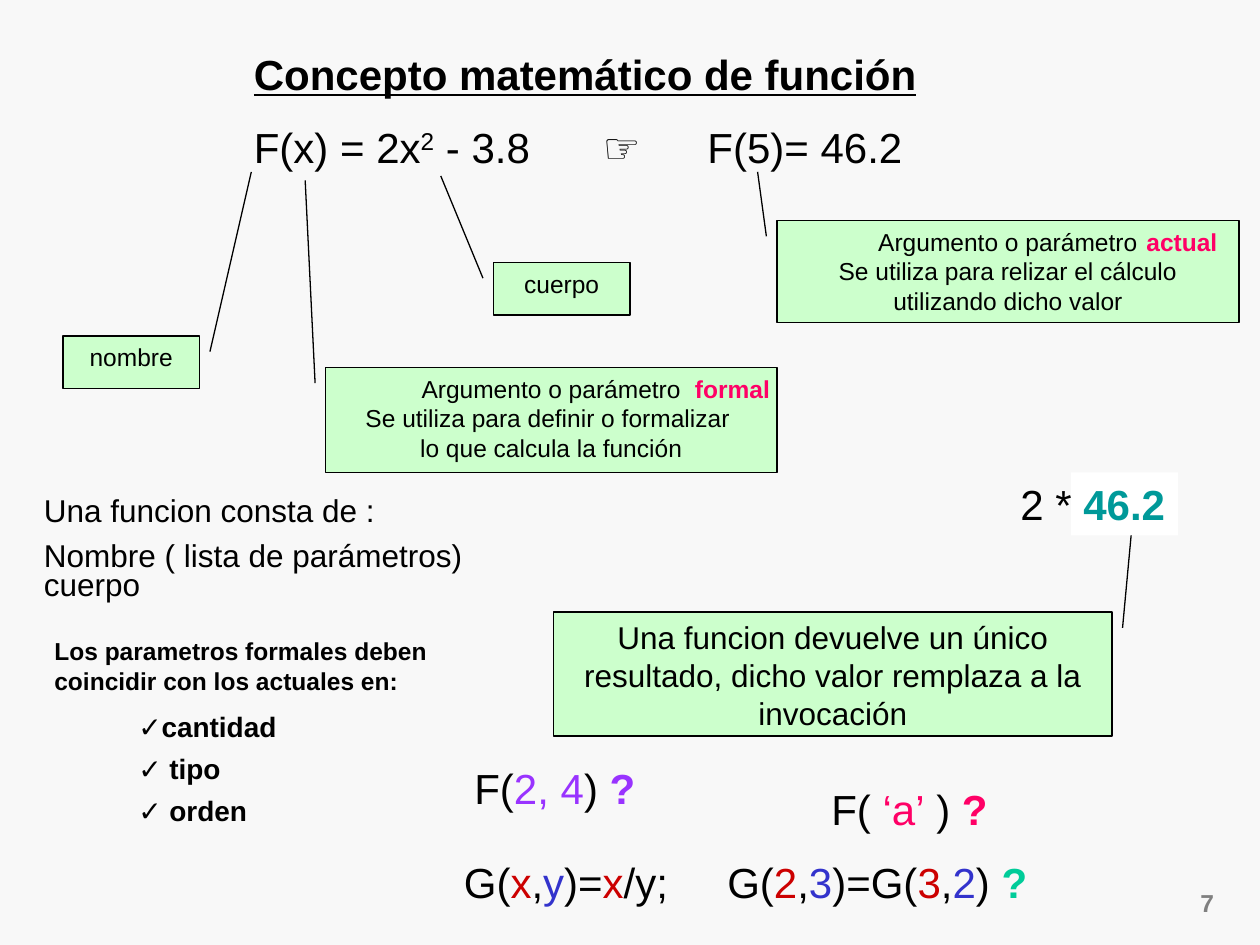
"""Build the slide that explains the mathematical concept of a function."""
from lxml.etree import SubElement
from pptx import Presentation
from pptx.dml.color import RGBColor
from pptx.enum.shapes import MSO_SHAPE as Shape
from pptx.enum.text import MSO_ANCHOR as Anchor, PP_ALIGN as Align
from pptx.oxml.ns import qn
from pptx.util import Inches, Pt

BLACK = RGBColor(0x00, 0x00, 0x00)
WHITE = RGBColor(0xFF, 0xFF, 0xFF)
GRAY = RGBColor(0x80, 0x80, 0x80)
PAPER = RGBColor(0xF8, 0xF8, 0xF8)
MINT = RGBColor(0xCC, 0xFF, 0xCC)
PINK = RGBColor(0xFF, 0x00, 0x66)
PURPLE = RGBColor(0x99, 0x33, 0xFF)
RED = RGBColor(0xCC, 0x00, 0x00)
BLUE = RGBColor(0x33, 0x33, 0xCC)
GREEN = RGBColor(0x00, 0xCC, 0x99)
TEAL = RGBColor(0x00, 0x99, 0x99)

presentation = Presentation()
presentation.slide_width = Inches(10)
presentation.slide_height = Inches(7.5)
slide = presentation.slides.add_slide(presentation.slide_layouts[6])
slide.background.fill.solid()
slide.background.fill.fore_color.rgb = PAPER
UNIT = presentation.slide_width / 120


def grid(*cells):
    return [round(cell * UNIT) for cell in cells]


def write(shape, paragraphs, size=24, align=Align.LEFT, bold=False, spaced=True,
          line_spacing=None, tabs=(), wrap=True):
    frame = shape.text_frame
    frame.word_wrap = wrap
    frame.vertical_anchor = Anchor.TOP
    for index, runs in enumerate(paragraphs):
        paragraph = frame.add_paragraph() if index else frame.paragraphs[0]
        paragraph.alignment = align
        if spaced:
            paragraph.space_before = Pt(size * 0.54)
        if line_spacing:
            paragraph.line_spacing = line_spacing
        if tabs:
            stops = SubElement(paragraph._p.get_or_add_pPr(), qn("a:tabLst"))
            for stop in tabs:
                SubElement(stops, qn("a:tab"), pos=str(Inches(stop)), algn="l")
        for text, color, *marks in runs:
            run = paragraph.add_run()
            run.text = text
            run.font.name = "Arial"
            run.font.size = Pt(size)
            run.font.color.rgb = color
            run.font.bold = bold or "bold" in marks
            run.font.underline = "underline" in marks
            if "superscript" in marks:
                run.font._element.set("baseline", "30000")


text_boxes = [
    ((109, 84, 7.8, 4), [[("7", GRAY)]], dict(size=14, bold=True, align=Align.RIGHT)),
    ((23, 4, 78, 13.2),
     [[("Concepto matemático de función", BLACK, "bold", "underline")],
      [("F(x) = 2x", BLACK), ("2", BLACK, "superscript"), (" - 3.8\t", BLACK),
       ("☞", BLACK, "bold"), ("\tF(5)= 46.2", BLACK)]],
     dict(tabs=(2.77, 3.6))),
    ((78, 74, 19, 6),
     [[("F( ", BLACK), ("‘a’", PINK), (" ) ", BLACK), ("?", PINK, "bold")]], {}),
    ((44, 72, 19, 6),
     [[("F(", BLACK), ("2, 4", PURPLE), (") ", BLACK), ("?", PURPLE, "bold")]], {}),
    ((43, 81, 57, 6),
     [[("G(", BLACK), ("x", RED), (",", BLACK), ("y", BLUE), (")=", BLACK),
       ("x", RED), ("/y;\tG(", BLACK), ("2", RED), (",", BLACK), ("3", BLUE),
       (")=G(", BLACK), ("3", RED), (",", BLACK), ("2", BLUE), (") ", BLACK),
       ("?", GREEN, "bold")]],
     dict(tabs=(2.09,))),
    ((3, 47, 44, 11.2),
     [[("Una funcion consta de :", BLACK)],
      [("Nombre ( lista de parámetros) cuerpo", BLACK)]],
     dict(size=18, line_spacing=0.75)),
    ((96, 45, 19, 6), [[("2 *", BLACK)]], {}),
    ((4, 60, 41, 6.8),
     [[("Los parametros formales deben coincidir con los actuales en:", BLACK)]],
     dict(size=14, bold=True)),
]
for row, item in enumerate(("✓cantidad", "✓ tipo", "✓ orden")):
    text_boxes.append(((12, 67 + 4 * row, 18, 4.4), [[(item, BLACK)]],
                       dict(size=16, bold=True)))

callouts = [
    ((31, 35, 43, 10), (0.15, -0.023, -1.781, -0.045), 14,
     ("Argumento o parámetro", "Se utiliza para definir o formalizar ",
      "lo que calcula la función")),
    ((74, 21, 44, 9.7), (0.155, -0.023, -0.478, -0.042), 14,
     ("Argumento o parámetro",
      "Se utiliza para relizar el cálculo utilizando dicho valor")),
    ((6, 32, 13, 5), (0.3, 1.077, -3.125, 1.38), 14, ("nombre",)),
    ((47, 25, 13, 5), (0.3, -0.077, -1.65, -0.386), 14, ("cuerpo",)),
    ((52.7, 58.3, 53.2, 11.8), (0.128, 1.019, -0.7, 1.036), 18,
     ("Una funcion devuelve un único resultado, dicho valor remplaza a la invocación",)),
]
for cells, pointer, size, lines in callouts:
    callout = slide.shapes.add_shape(Shape.LINE_CALLOUT_1, *grid(*cells))
    callout.shadow.inherit = False
    callout.fill.solid()
    callout.fill.fore_color.rgb = MINT
    callout.line.color.rgb = BLACK
    callout.line.width = Pt(0.75)
    for index, value in enumerate(pointer):
        callout.adjustments[index] = value
    write(callout, [[(line, BLACK)] for line in lines], size=size,
          align=Align.CENTER, spaced=False)

for cells, word in (((108, 21, 10, 4), "actual"), ((65, 35, 10, 4), "formal")):
    text_boxes.append((cells, [[(word, PINK)]], dict(size=14, bold=True)))

for cells, paragraphs, style in text_boxes:
    write(slide.shapes.add_textbox(*grid(*cells)), paragraphs, **style)

result = slide.shapes.add_shape(Shape.RECTANGLE, *grid(102, 45, 10.2, 6))
result.shadow.inherit = False
result.fill.solid()
result.fill.fore_color.rgb = WHITE
result.line.fill.background()
write(result, [[("46.2", TEAL)]], bold=True, spaced=False, wrap=False)

presentation.save("out.pptx")
